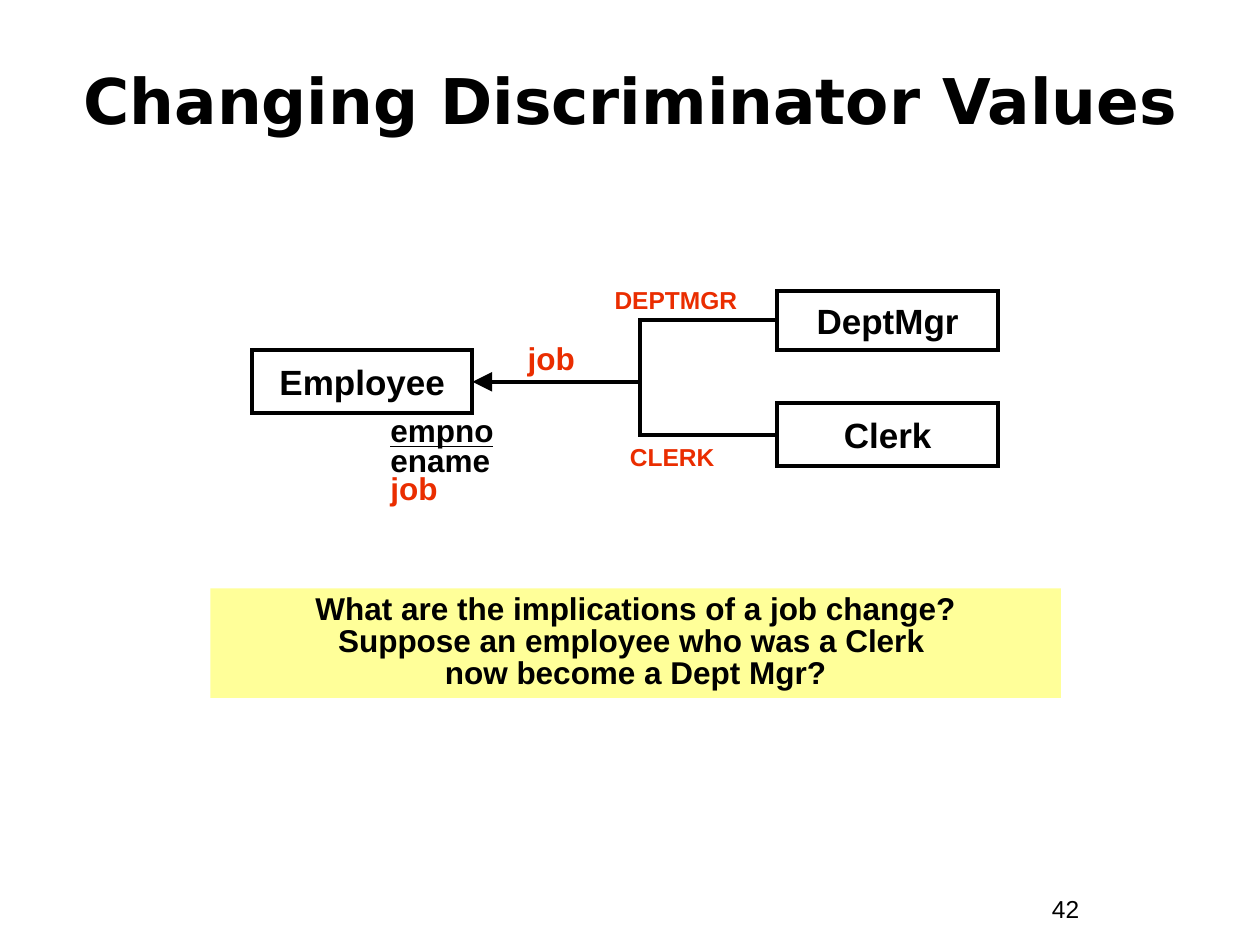
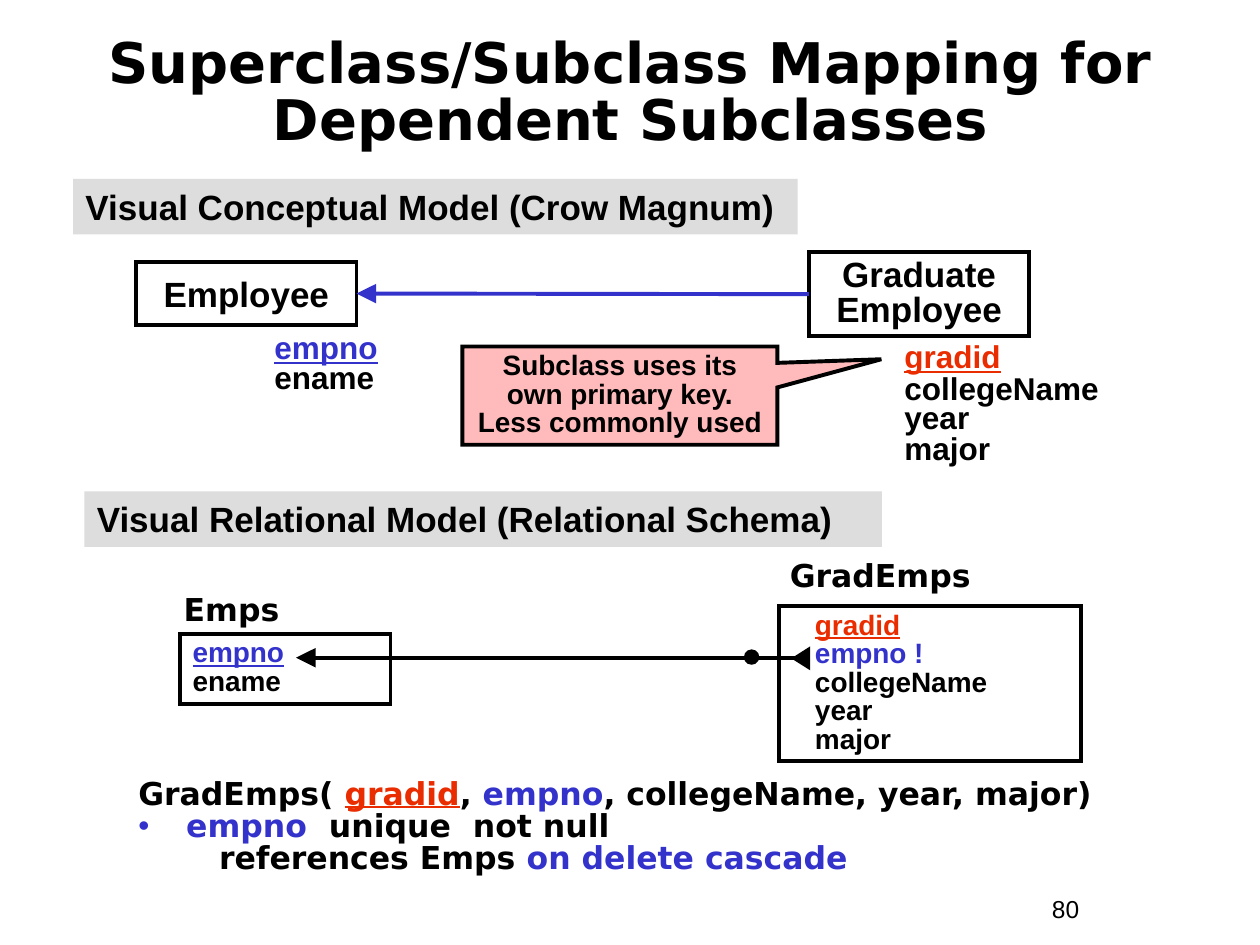
"""Build two slides on superclass and subclass mapping."""
from dataclasses import dataclass
from typing import Optional

from lxml.etree import SubElement
from pptx import Presentation
from pptx.dml.color import RGBColor
from pptx.enum.shapes import MSO_CONNECTOR, MSO_SHAPE
from pptx.enum.text import MSO_ANCHOR, PP_ALIGN
from pptx.oxml.ns import qn
from pptx.shapes.autoshape import Shape
from pptx.shapes.connector import Connector
from pptx.slide import Slide
from pptx.util import Inches, Pt

COLORS = {
    "black": "000000",
    "red": "EA2D00",
    "coral": "FF5050",
    "blue": "3333CC",
    "yellow": "FFFF99",
    "gray": "DDDDDD",
    "pink": "FFBBBB",
}
BODY_FONT = "Arial"
TITLE_FONT = "DejaVu Sans"
LINE_WIDTH = Pt(2.25)
LEFT_SIDE, RIGHT_SIDE = 1, 3


@dataclass(frozen=True)
class Span:
    text: str
    color: str = "black"
    underline: bool = False
    tracking: float = 0


@dataclass(frozen=True)
class Line:
    spans: tuple[Span, ...]
    spacing: Optional[float] = None
    left: float = 0
    hanging: float = 0
    bullet: Optional[str] = None


@dataclass(frozen=True)
class Block:
    at: tuple[float, float, float, float]
    lines: tuple[Line, ...] = ()
    size: float = 18
    font: str = BODY_FONT
    bold: bool = True
    align: PP_ALIGN = PP_ALIGN.LEFT
    anchor: MSO_ANCHOR = MSO_ANCHOR.TOP
    shape: Optional[MSO_SHAPE] = None
    fill: Optional[str] = None
    outline: Optional[str] = None
    wrap: bool = True
    rotation: float = 0


def rgb(name: str) -> RGBColor:
    """Return the named colour."""
    return RGBColor.from_string(COLORS[name])


def plain(text: str, spacing: Optional[float] = None, color: str = "black",
          underline: bool = False) -> Line:
    """Return a line made of a single span."""
    return Line((Span(text, color, underline),), spacing)


def add_line(para, line: Line, block: Block) -> None:
    """Fill a paragraph with the spans of a line."""
    para.alignment = block.align
    if line.spacing:
        para.line_spacing = line.spacing
    properties = para._p.get_or_add_pPr()
    properties.set("marL", str(Inches(line.left)))
    properties.set("indent", str(Inches(line.hanging)))
    if line.bullet:
        color = SubElement(properties, qn("a:buClr"))
        SubElement(color, qn("a:srgbClr"), val=COLORS[line.bullet])
        SubElement(properties, qn("a:buFont"), typeface=BODY_FONT)
        SubElement(properties, qn("a:buChar"), char="•")
    for span in line.spans:
        for index, text in enumerate(span.text.split("\n")):
            if index:
                para.add_line_break()
            run = para.add_run()
            run.text = text
            run.font.name = block.font
            run.font.size = Pt(block.size)
            run.font.bold = block.bold
            run.font.underline = span.underline
            run.font.color.rgb = rgb(span.color)
            if span.tracking:
                run._r.get_or_add_rPr().set("spc", str(round(span.tracking * 100)))


def style_stroke(line, color: str) -> None:
    """Give a line its colour, width and sharp corners."""
    line.color.rgb = rgb(color)
    line.width = LINE_WIDTH
    SubElement(line._get_or_add_ln(), qn("a:miter"), lim="800000")


def add_block(page: Slide, block: Block) -> Shape:
    """Draw a text box or a preset shape with its text."""
    place = [Inches(length) for length in block.at]
    if block.shape is None:
        box = page.shapes.add_textbox(*place)
    else:
        box = page.shapes.add_shape(block.shape, *place)
        box.shadow.inherit = False
        box.rotation = block.rotation
        if block.fill:
            box.fill.solid()
            box.fill.fore_color.rgb = rgb(block.fill)
        else:
            box.fill.background()
        if block.outline:
            style_stroke(box.line, block.outline)
        else:
            box.line.fill.background()
    frame = box.text_frame
    frame.word_wrap = block.wrap
    frame.vertical_anchor = block.anchor
    for index, line in enumerate(block.lines):
        para = frame.add_paragraph() if index else frame.paragraphs[0]
        add_line(para, line, block)
    return box


def add_link(page: Slide, start: tuple[float, float], end: tuple[float, float],
             color: str = "black", arrow: bool = False, bent: bool = False) -> Connector:
    """Draw a straight or once-bent line, with an arrowhead at its start if asked."""
    points = [Inches(length) for length in start + end]
    kind = MSO_CONNECTOR.ELBOW if bent else MSO_CONNECTOR.STRAIGHT
    link = page.shapes.add_connector(kind, *points)
    properties = link._element.spPr
    if bent:
        properties.find(qn("a:prstGeom")).set("prst", "bentConnector2")
    style_stroke(link.line, color)
    if arrow:
        SubElement(link.line._get_or_add_ln(), qn("a:headEnd"), type="triangle", w="lg", len="lg")
    SubElement(properties, qn("a:effectLst"))
    return link


def add_entity(page: Slide, name: str, left: float, top: float, height: float = 0.5) -> Shape:
    """Draw an outlined entity box with a centred name."""
    spacing = 0.85 if "\n" in name else None
    return add_block(page, Block(
        (left, top, 1.75, height), (plain(name, spacing),), size=20, align=PP_ALIGN.CENTER,
        anchor=MSO_ANCHOR.MIDDLE, shape=MSO_SHAPE.RECTANGLE, outline="black", wrap=False))


def add_page(deck, title: str, number: int, top: float, size: float,
             spacing: Optional[float] = None) -> Slide:
    """Add a blank page with its title and number."""
    page = deck.slides.add_slide(deck.slide_layouts[6])
    add_block(page, Block((8.25, 7.05, 0.92, 0.34), (plain(str(number)),), size=14, bold=False))
    add_block(page, Block((0.34, top, 9.33, 0.92), (plain(title, spacing),), size=size,
                          font=TITLE_FONT, align=PP_ALIGN.CENTER, anchor=MSO_ANCHOR.MIDDLE))
    return page


def build_discriminator(deck) -> None:
    """Build the page about changing discriminator values."""
    page = add_page(deck, "Changing Discriminator Values", 42, 0.33, 36)
    employee = add_entity(page, "Employee", 2, 2.78)
    add_entity(page, "DeptMgr", 6.17, 2.31, 0.47)
    add_entity(page, "Clerk", 6.17, 3.2)

    labels = (
        ("job", (4, 2.7, 0.75, 0.34), 18),
        ("DEPTMGR", (4.7, 2.26, 1.33, 0.29), 14),
        ("CLERK", (4.67, 3.5, 1.33, 0.29), 14),
    )
    for text, place, size in labels:
        add_block(page, Block(place, (plain(text, 0.8, "red"),), size, align=PP_ALIGN.CENTER))
    add_block(page, Block((3, 3.25, 1.08, 0.82), (
        plain("empno", 0.9, underline=True),
        Line((Span("ename\n"), Span("job", "red")), 0.75),
    )))

    trunk, trunk_top, trunk_bottom, branch_end = 5.08, 2.99, 3.07, 6.15
    add_link(page, (trunk, trunk_bottom), (trunk, trunk_top), "coral")
    for level, joint in ((2.54, trunk_top), (3.45, trunk_bottom)):
        add_link(page, (branch_end, level), (trunk, joint), bent=True)
    add_link(page, (trunk, trunk_bottom), (trunk, trunk_top))
    arrow = add_link(page, (3.75, 3.03), (trunk, 3.03), arrow=True)
    arrow.begin_connect(employee, RIGHT_SIDE)

    question = ("What are the implications of a job change?\n"
                "Suppose an employee who was a Clerk \nnow become a Dept Mgr?")
    add_block(page, Block((1.67, 4.67, 6.75, 0.87), (plain(question, 0.85),),
                          align=PP_ALIGN.CENTER, shape=MSO_SHAPE.RECTANGLE, fill="yellow"))


def build_dependent(deck) -> None:
    """Build the page about mapping dependent subclasses."""
    page = add_page(deck, "Superclass/Subclass Mapping for\nDependent Subclasses",
                    80, 0.29, 32, 0.85)
    bands = (
        ("Visual Conceptual Model (Crow Magnum)", (0.58, 1.42, 5.75, 0.44)),
        ("Visual Relational Model (Relational Schema)", (0.67, 3.9, 6.33, 0.44)),
    )
    for text, place in bands:
        add_block(page, Block(place, (plain(text),), size=20,
                              shape=MSO_SHAPE.RECTANGLE, fill="gray"))

    employee = add_entity(page, "Employee", 1.08, 2.08)
    graduate = add_entity(page, "Graduate\nEmployee", 6.42, 2, 0.67)
    inherits = add_link(page, (2.83, 2.33), (6.42, 2.33), "blue", arrow=True)
    inherits.begin_connect(employee, RIGHT_SIDE)
    inherits.end_connect(graduate, LEFT_SIDE)
    add_block(page, Block((2.08, 2.59, 1.08, 0.6), (
        plain("empno", 0.9, "blue", True), plain("ename", 0.75))))
    add_block(page, Block((7.08, 2.67, 1.75, 1.09), (
        plain("gradid", 0.85, "red", True), plain("collegeName", 0.85),
        plain("year", 0.75), plain("major", 0.85))))

    add_block(page, Block((1.36, 4.63, 2.15, 0.4), (plain("Emps"),), font=TITLE_FONT))
    add_block(page, Block((6.17, 4.42, 2.15, 0.34), (plain("GradEmps", 0.8),), font=TITLE_FONT))
    tables = (
        ((1.43, 5.03, 1.67, 0.56), 0,
         (Span("empno", "blue", True), Span("ename"))),
        ((6.18, 4.81, 2.4, 1.23), 0.19,
         (Span("gradid", "red", True), Span("empno !", "blue"),
          Span("collegeName\nyear\nmajor"))),
    )
    for place, indent, columns in tables:
        lines = tuple(Line((column,), 0.85, indent) for column in columns)
        add_block(page, Block(place, lines, size=16, shape=MSO_SHAPE.RECTANGLE, outline="black"))
    add_link(page, (2.35, 5.22), (6.4, 5.22), arrow=True)
    add_block(page, Block((5.92, 5.17, 0.09, 0.09), shape=MSO_SHAPE.OVAL,
                          fill="black", outline="black"))
    add_block(page, Block((6.26, 5.15, 0.19, 0.15), shape=MSO_SHAPE.ISOSCELES_TRIANGLE,
                          fill="black", rotation=270))

    wide_space = Span(" ", tracking=6.3)
    add_block(page, Block((1, 6.14, 8, 0.87), (
        Line((Span("GradEmps( "), Span("gradid", "red", True), Span(", "),
              Span("empno", "blue"), Span(", collegeName, year, major)")),
             0.85, 0.38, -0.38),
        Line((Span("empno", "blue"), wide_space, Span("unique"), wide_space, Span("not null")),
             0.85, 0.38, -0.38, "blue"),
        Line((Span("references Emps "), Span("on delete cascade", "blue")), 0.85, 0.64),
    ), font=TITLE_FONT))

    note = "Subclass uses its own primary key.\nLess commonly used"
    callout = add_block(page, Block(
        (3.67, 2.75, 2.5, 0.78), (plain(note, 0.85),), size=16, align=PP_ALIGN.CENTER,
        shape=MSO_SHAPE.RECTANGULAR_CALLOUT, fill="pink", outline="black"))
    callout.adjustments[0] = 0.83
    callout.adjustments[1] = -0.37


def main() -> None:
    """Build and save the deck."""
    deck = Presentation()
    deck.slide_width, deck.slide_height = Inches(10), Inches(7.5)
    build_discriminator(deck)
    build_dependent(deck)
    deck.save("out.pptx")


if __name__ == "__main__":
    main()
